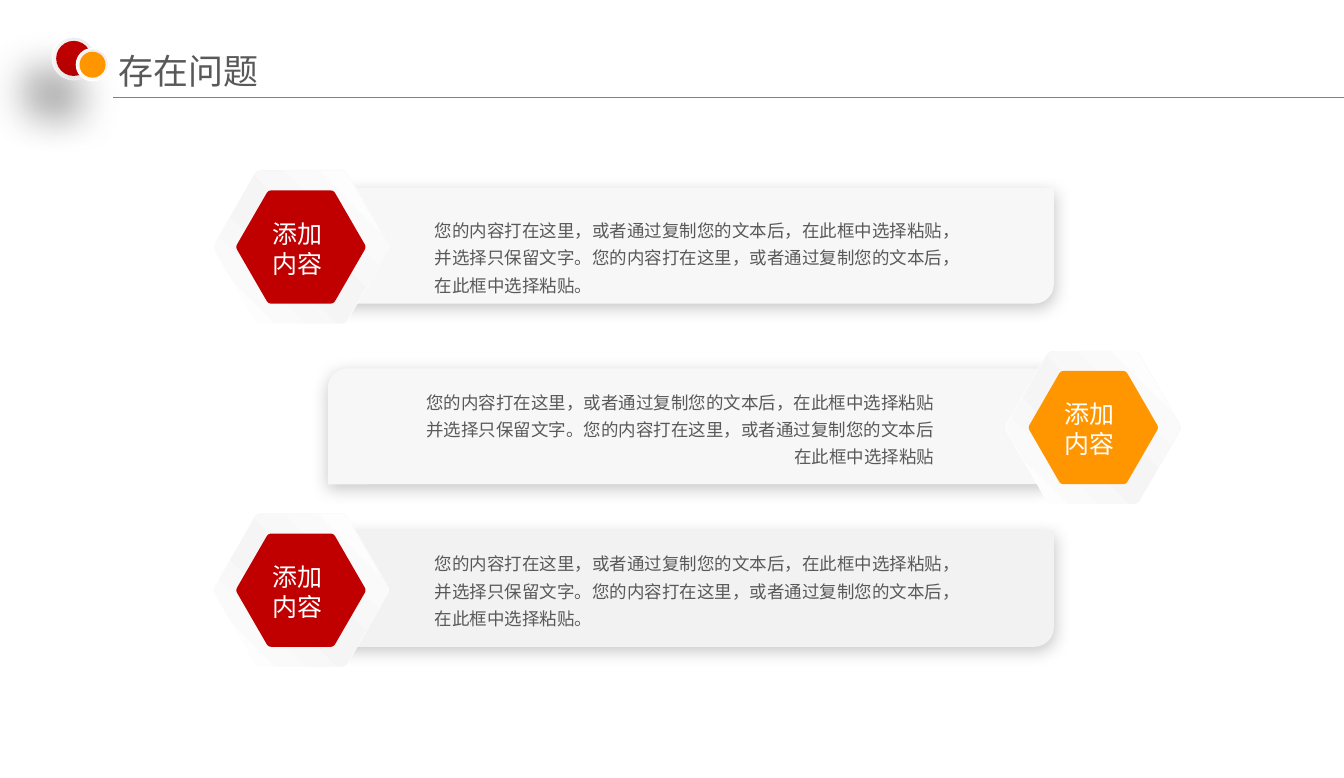
import copy
import math

import lxml.etree
import pptx
import pptx.dml.color
import pptx.enum.shapes
import pptx.enum.text
import pptx.oxml.ns
import pptx.util

PX = 9144  # EMU in one px, 100 px to the inch
THEME = {
    "font": "Noto Sans CJK SC",
    "red": "C00000", "orange": "FF9600", "white": "FFFFFF",
    "ink": "595959", "rule": "808080", "pale": "F7F7F7", "grey": "F2F2F2",
    "ring": [(0, "EBEBEB"), (1, "FEFEFE")],
    "gloss": [(0, "FFFFFF"), (0.47, "F5F5F5"), (1, "FFFFFF")],
    "title": 28, "label": 20, "body": 14,
}
RGB = pptx.dml.color.RGBColor.from_string
KIND = pptx.enum.shapes.MSO_SHAPE
ALIGN = pptx.enum.text.PP_ALIGN
FIT = pptx.enum.text.MSO_AUTO_SIZE
qn = pptx.oxml.ns.qn


def paint(shape, fill, angle=0, shadow=None):
    """Fill with a colour or gradient stops; shadow is alpha %, blur pt, distance pt, angle."""
    shape.shadow.inherit = False
    shape.line.fill.background()
    if isinstance(fill, str):
        shape.fill.solid()
        shape.fill.fore_color.rgb = RGB(fill)
    else:
        shape.fill.gradient()
        shape.fill.gradient_angle = 360 - angle
        stops = shape._element.spPr.find(".//" + qn("a:gsLst"))
        while len(stops) < len(fill):
            stops.append(copy.deepcopy(stops[0]))
        for stop, (place, color) in zip(shape.fill.gradient_stops, fill):
            stop.position = place
            stop.color.rgb = RGB(color)
    if shadow:
        alpha, blur, dist, turn = shadow
        effect = shape._element.spPr.find(qn("a:effectLst"))
        outer = lxml.etree.SubElement(
            effect, qn("a:outerShdw"), blurRad=str(blur * 12700), dist=str(dist * 12700),
            dir=str(turn * 60000), algn="ctr", rotWithShape="0")
        color = lxml.etree.SubElement(outer, qn("a:srgbClr"), val="000000")
        lxml.etree.SubElement(color, qn("a:alpha"), val=str(alpha * 1000))


def write(shape, lines, size, color, inset, fit, align=ALIGN.LEFT, space=None):
    """Put lines into a shape, one paragraph each; inset is (side, top) in px."""
    frame = shape.text_frame
    frame.word_wrap = True
    frame.auto_size = fit
    frame.margin_left = frame.margin_right = inset[0] * PX
    frame.margin_top = frame.margin_bottom = inset[1] * PX
    frame.text = "\n".join(lines)
    for para in frame.paragraphs:
        para.alignment = align
        para.line_spacing = space
        para.font.size = pptx.util.Pt(size)
        para.font.color.rgb = RGB(color)
        para.font.name = THEME["font"]
        lxml.etree.SubElement(para._p.pPr.find(qn("a:defRPr")), qn("a:ea"),
                              typeface=THEME["font"])


deck = pptx.Presentation()
deck.slide_width, deck.slide_height = 1496 * PX, 866 * PX
slide = deck.slides.add_slide(deck.slide_layouts[5])
shapes = slide.shapes

# Title
title = shapes.title
title.left, title.top, title.width, title.height = (v * PX for v in (118, 47, 520, 63))
write(title, ["存在问题"], THEME["title"], THEME["ink"], (14, 7), FIT.NONE)
title.text_frame.vertical_anchor = pptx.enum.text.MSO_ANCHOR.MIDDLE

# Rule under the title
rule = shapes.add_connector(pptx.enum.shapes.MSO_CONNECTOR.STRAIGHT,
                            126 * PX, 109 * PX, 1496 * PX, 109 * PX)
rule.line.color.rgb = RGB(THEME["rule"])
rule.line.width = pptx.util.Pt(0.75)
lxml.etree.SubElement(rule._element.spPr, qn("a:effectLst"))

# Ringed dots beside the title
for left, top, size, core, color in ((58, 41, 48, 39, "red"), (85, 54, 36, 29, "orange")):
    ring = shapes.add_shape(KIND.OVAL, left * PX, top * PX, size * PX, size * PX)
    paint(ring, THEME["ring"], 126, (38, 36, 35, 130))
    ring.line.color.rgb = RGB(THEME["white"])
    ring.line.width = pptx.util.Pt(1)
    gap = (size - core) * PX // 2
    dot = shapes.add_shape(KIND.OVAL, left * PX + gap, top * PX + gap, core * PX, core * PX)
    paint(dot, THEME[color])

# Bars, each with its text and hexagon badge
LONG = ("您的内容打在这里，或者通过复制您的文本后，在此框中选择粘贴，并选择只保留文字。"
        "您的内容打在这里，或者通过复制您的文本后，在此框中选择粘贴。")
SHORT = ("您的内容打在这里，或者通过复制您的文本后，在此框中选择粘贴并选择只保留文字。"
         "您的内容打在这里，或者通过复制您的文本后在此框中选择粘贴")
ROWS = (  # bar left, bar top, bar fill, text left, text top, text, align, badge centre, colour
    (362, 209, "pale", 467, 229, LONG, ALIGN.LEFT, 335, "red"),
    (365, 410, "pale", 455, 420, SHORT, ALIGN.RIGHT, 1217, "orange"),
    (362, 591, "grey", 467, 600, LONG, ALIGN.LEFT, 335, "red"),
)
CUT = 0.047  # share of each hexagon side taken by a rounded corner

for left, top, fill, x, y, text, align, mid, color in ROWS:
    bar = shapes.add_shape(KIND.ROUND_2_DIAG_RECTANGLE,
                           left * PX, top * PX, 811 * PX, 129 * PX)
    paint(bar, THEME[fill], shadow=(22, 13, 3, 90))

    body = shapes.add_textbox(x * PX, y * PX, 602 * PX, 108 * PX)
    write(body, [text], THEME["body"], THEME["ink"], (17, 9),
          FIT.SHAPE_TO_FIT_TEXT, align, 1.3)

    badge = shapes.add_group_shape().shapes
    level = top + 66
    for high, skin in ((172, THEME["white"]), (170, THEME["gloss"]), (126, THEME[color])):
        size = high / math.sqrt(3)
        tips = [(mid + size * math.cos(k * math.pi / 3),
                 level + size * math.sin(k * math.pi / 3)) for k in range(6)]
        points = []
        for k, tip in enumerate(tips):
            last, after = tips[k - 1], tips[(k + 1) % 6]
            for t in (0, 0.25, 0.5, 0.75, 1):
                back, on = CUT * (1 - t) ** 2, CUT * t ** 2
                points.append(tuple(
                    round(PX * (c + back * (a - c) + on * (b - c)))
                    for a, b, c in zip(last, after, tip)))
        path = badge.build_freeform(*points[0], scale=1.0)
        path.add_line_segments(points[1:], close=True)
        paint(path.convert_to_shape(), skin, 315)
    label = badge.add_textbox((mid - 42) * PX, (level - 37) * PX, 83 * PX, 77 * PX)
    write(label, ["添加", "内容"], THEME["label"], THEME["white"], (10, 5),
          FIT.SHAPE_TO_FIT_TEXT)

deck.save("out.pptx")
